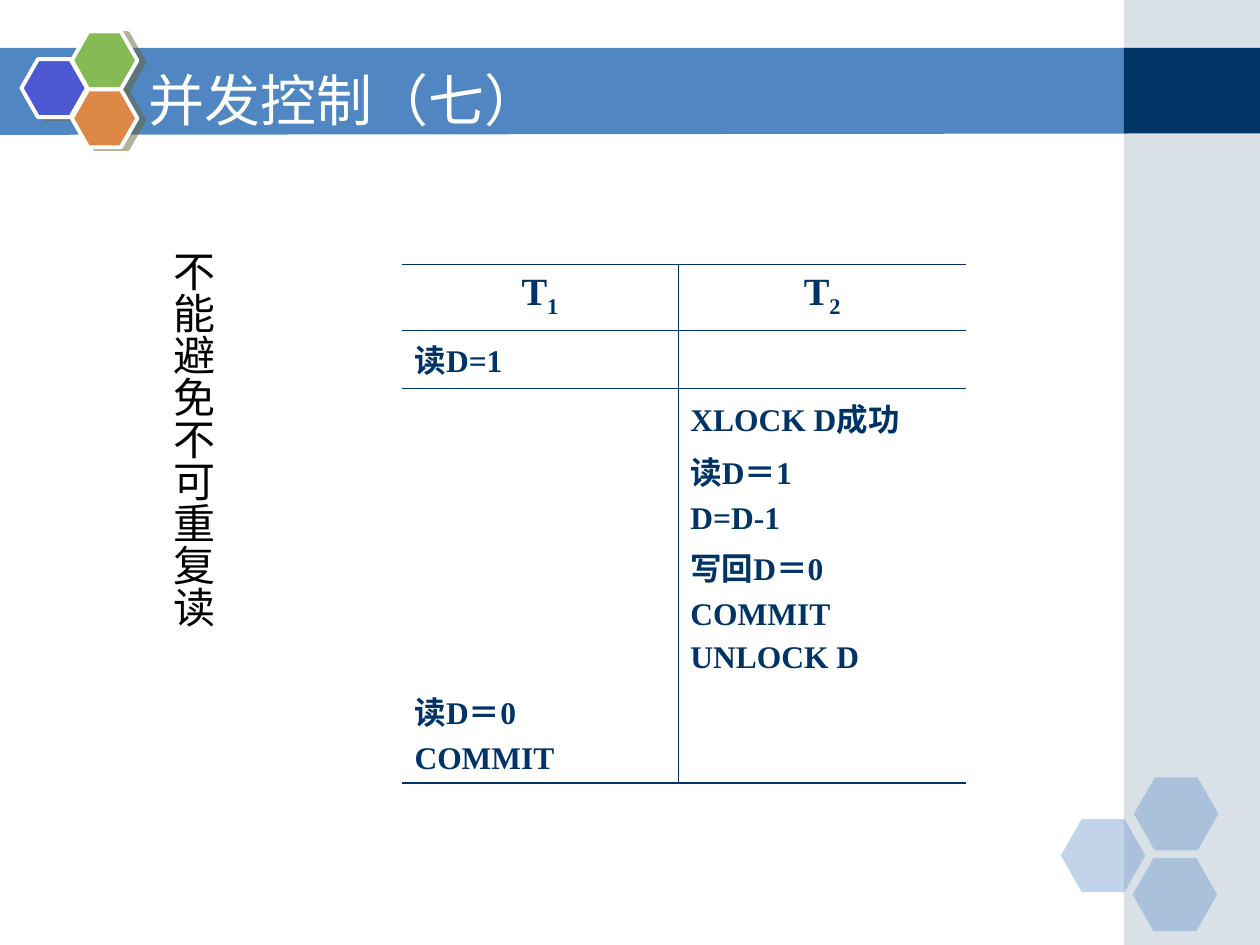
from lxml.etree import SubElement
from pptx import Presentation
from pptx.dml.color import RGBColor
from pptx.enum.shapes import MSO_SHAPE as Shape
from pptx.enum.text import MSO_ANCHOR as Anchor, PP_ALIGN as Align
from pptx.oxml import parse_xml
from pptx.oxml.ns import nsdecls, qn
from pptx.util import Inches, Pt

WHITE = RGBColor(0xFF, 0xFF, 0xFF)
BLACK = RGBColor(0x00, 0x00, 0x00)
NAVY = RGBColor(0x00, 0x33, 0x66)
BLUE = RGBColor(0x50, 0x86, 0xC2)
PALE = RGBColor(0xA0, 0xB5, 0xC4)
INDIGO = RGBColor(0x4C, 0x59, 0xD2)
GREEN = RGBColor(0x85, 0xBA, 0x54)
ORANGE = RGBColor(0xDE, 0x88, 0x48)
OLIVE = RGBColor(0x66, 0x66, 0x33)

NO_GRID_STYLE = "{2D5ABB26-0587-4C30-8999-92F81FD0307C}"
THIN, THICK = 0.45, 1.08
SCHEDULE = [
    [["T1"], ["T2"]],
    [["读D=1"], []],
    [[], ["XLOCK D成功", "读D＝1", "D=D-1", "写回D＝0", "COMMIT", "UNLOCK D"]],
    [["读D＝0", "COMMIT"], []],
]


class SlideBuilder:
    """Holds the style and the current slide, and draws each kind of element."""

    def __init__(self, page):
        self.page = page
        self.shapes = page.shapes

    def style(self, span, size, font, color, bold=False):
        span.font.size = Pt(size)
        span.font.name = font
        span.font.color.rgb = color
        span.font.bold = bold

    def paint(self, shape, color, opacity=100):
        shape.shadow.inherit = False
        shape.fill.solid()
        shape.fill.fore_color.rgb = color
        shape.line.fill.background()
        if opacity < 100:
            tint = shape.fill._xPr.find(qn("a:solidFill"))[0]
            SubElement(tint, qn("a:alpha")).set("val", str(opacity * 1000))

    def band(self, points, color):
        corners = [(Inches(x), Inches(y)) for x, y in points]
        outline = self.shapes.build_freeform(*corners[0])
        outline.add_line_segments(corners[1:], close=True)
        self.paint(outline.convert_to_shape(), color)

    def shape(self, kind, left, top, width, height, color, opacity=100):
        shape = self.shapes.add_shape(
            kind, Inches(left), Inches(top), Inches(width), Inches(height))
        self.paint(shape, color, opacity)
        return shape

    def hexagon(self, left, top, width, height, color, opacity=100):
        hexagon = self.shape(Shape.HEXAGON, left, top, width, height, color, opacity)
        hexagon.adjustments[0] = 0.285
        return hexagon

    def badge(self, left, top, color):
        badge = self.hexagon(left, top, 0.52, 0.46, color)
        badge.line.color.rgb = WHITE
        badge.line.width = Pt(2.25)
        effects = badge._element.spPr.find(qn("a:effectLst"))
        effects.append(parse_xml(
            f'<a:outerShdw {nsdecls("a")} dist="{Pt(4.1)}" dir="{14 * 60000}" '
            f'algn="ctr" rotWithShape="0"><a:srgbClr val="{OLIVE}">'
            '<a:alpha val="50000"/></a:srgbClr></a:outerShdw>'))

    def title(self, text, left, top, width, height):
        title = self.shapes.title
        title.left, title.top = Inches(left), Inches(top)
        title.width, title.height = Inches(width), Inches(height)
        frame = title.text_frame
        frame.text = text
        frame.vertical_anchor = Anchor.MIDDLE
        para = frame.paragraphs[0]
        para.alignment = Align.LEFT
        self.style(para.runs[0], 32, "DejaVu Sans", WHITE)
        title._element.getparent().append(title._element)

    def vertical_text(self, text, left, top, width, height):
        box = self.shapes.add_textbox(
            Inches(left), Inches(top), Inches(width), Inches(height))
        frame = box.text_frame
        frame.word_wrap = True
        frame.margin_left = frame.margin_right = Inches(0.05)
        frame.margin_top = frame.margin_bottom = Inches(0.1)
        frame._txBody.bodyPr.set("vert", "eaVert")
        frame.text = text
        para = frame.paragraphs[0]
        para.alignment = Align.CENTER
        para.space_before = Pt(15)
        self.style(para.runs[0], 24, "Arial", BLACK)

    def borders(self, cell, **widths):
        properties = cell._tc.get_or_add_tcPr()
        sides = [side for side in "LRTB" if side in widths]
        for index, side in enumerate(sides):
            properties.insert(index, parse_xml(
                f'<a:ln{side} {nsdecls("a")} w="{Pt(widths[side])}"><a:solidFill>'
                f'<a:srgbClr val="{NAVY}"/></a:solidFill></a:ln{side}>'))

    def header(self, cell, label):
        para = cell.text_frame.paragraphs[0]
        para.alignment = Align.CENTER
        para.space_before = Pt(5.5)
        for character in label:
            span = para.add_run()
            span.text = character
            self.style(span, 22, "Times New Roman", NAVY, True)
            if character.isdigit():
                span.font._element.set("baseline", "-25000")

    def steps(self, cell, lines):
        cell.text_frame.text = "\n".join(lines)
        for para in cell.text_frame.paragraphs:
            para.space_before = Pt(4.5)
            for span in para.runs:
                self.style(span, 18, "Times New Roman", NAVY, True)

    def table(self, rows, left, top, widths, heights):
        frame = self.shapes.add_table(
            len(rows), len(widths), Inches(left), Inches(top),
            Inches(sum(widths)), Inches(sum(heights)))
        table = frame.table
        table.first_row = table.horz_banding = False
        table._tbl.tblPr.find(qn("a:tableStyleId")).text = NO_GRID_STYLE
        for column, width in zip(table.columns, widths):
            column.width = Inches(width)
        for r, (row, height) in enumerate(zip(rows, heights)):
            table.rows[r].height = Inches(height)
            for c, lines in enumerate(row):
                cell = table.cell(r, c)
                cell.fill.background()
                edges = {"L" if c else "R": THIN}
                if r < 2:
                    edges["T"] = THIN if r else THICK
                if r == 0:
                    edges["B"] = THIN
                    self.header(cell, lines[0])
                else:
                    self.steps(cell, lines)
                if r == len(rows) - 1:
                    edges["B"] = THICK
                self.borders(cell, **edges)


def main():
    deck = Presentation()
    deck.slide_width, deck.slide_height = Inches(10), Inches(7.5)
    builder = SlideBuilder(deck.slides.add_slide(deck.slide_layouts[5]))

    builder.band([(-0.01, 0.38), (8.95, 0.38), (8.95, 1.06), (-0.01, 1.07)], BLUE)
    builder.shape(Shape.RECTANGLE, 8.92, 0, 1.08, 7.5, PALE, 40)
    builder.shape(Shape.RECTANGLE, 8.92, 0.38, 1.08, 0.68, NAVY)
    for left, top in [(8.42, 6.5), (9, 6.17), (8.99, 6.81)]:
        builder.hexagon(left, top, 0.67, 0.58, BLUE, 35)
    for left, top, color in [(0.17, 0.47, INDIGO), (0.57, 0.25, GREEN), (0.57, 0.71, ORANGE)]:
        builder.badge(left, top, color)

    builder.title("并发控制（七）", 1.08, 0.5, 8.5, 0.57)
    builder.table(SCHEDULE, 3.19, 2.1, [2.19, 2.29], [0.52, 0.4, 2.22, 0.77])
    builder.vertical_text("不能避免不可重复读", 1.18, 1.89, 0.6, 3.65)
    deck.save("out.pptx")


if __name__ == "__main__":
    main()
